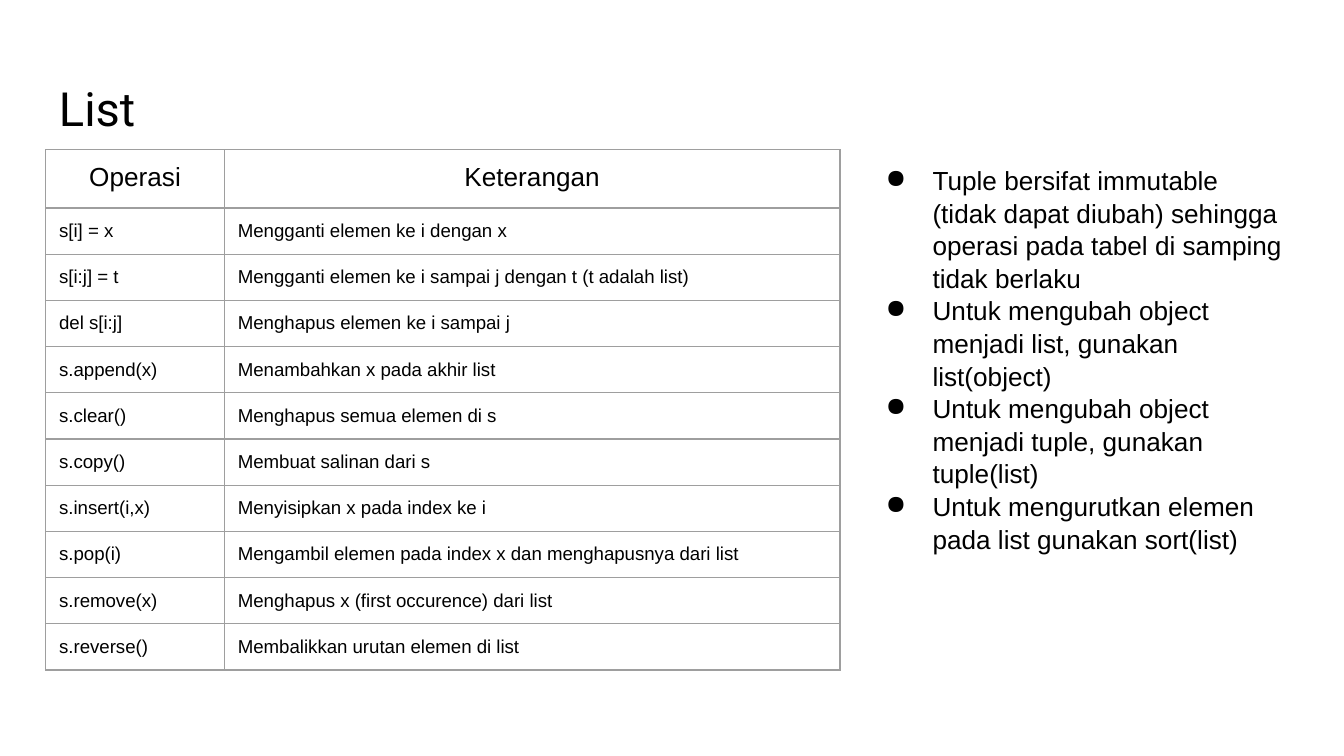
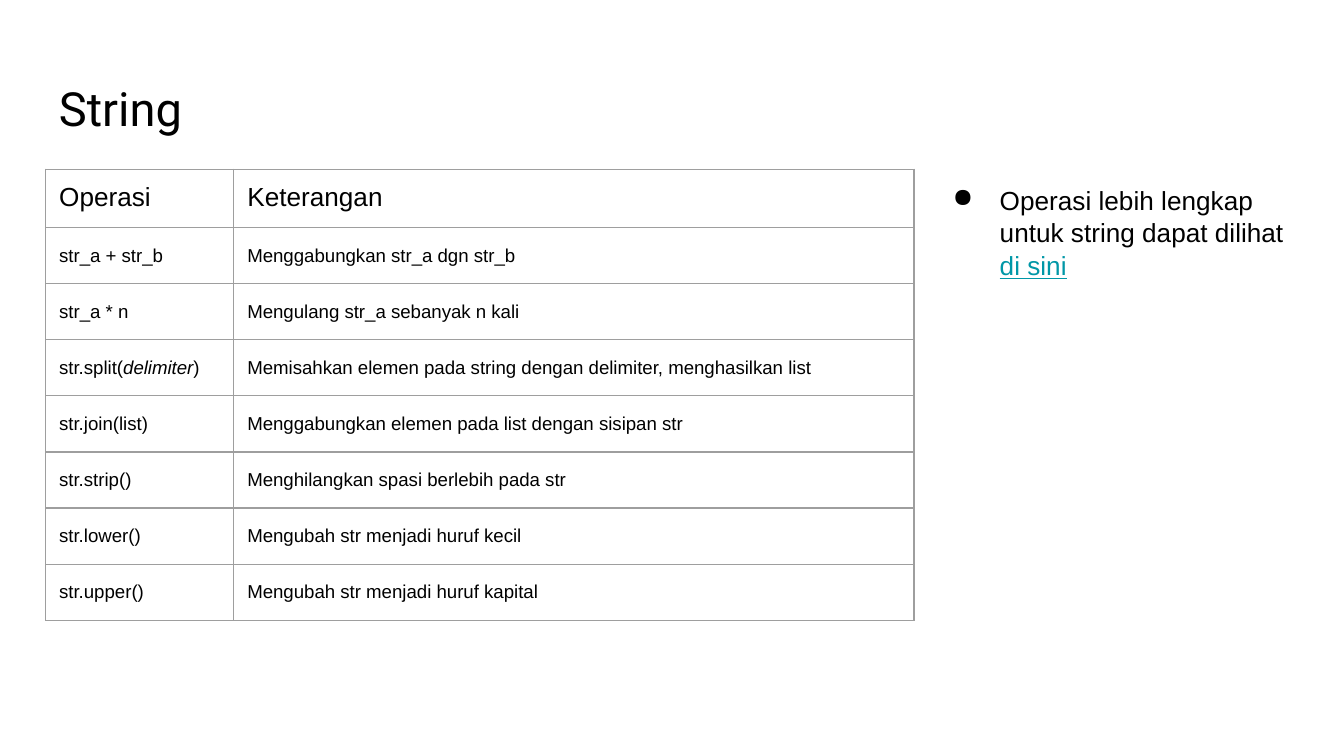
from collections import namedtuple

from lxml.etree import SubElement
from pptx import Presentation
from pptx.dml.color import RGBColor
from pptx.enum.text import MSO_ANCHOR, PP_ALIGN
from pptx.oxml.ns import qn
from pptx.util import Inches, Pt

BLACK = RGBColor(0x00, 0x00, 0x00)
GREY = RGBColor(0x9E, 0x9E, 0x9E)
TEAL = RGBColor(0x00, 0x97, 0xA7)
WHITE = RGBColor(0xFF, 0xFF, 0xFF)

WIDTH, HEIGHT = Inches(10), Inches(5.625)
COL, ROW = WIDTH / 100, HEIGHT / 100
PAD = Inches(0.1)
HEAD = 7.65

Box = namedtuple("Box", "left top width height")
TITLE = Box(3.4, 8.7, 93.2, 11.2)

LIST_OPS = [
    ("Operasi", "Keterangan"),
    ("s[i] = x", "Mengganti elemen ke i dengan x"),
    ("s[i:j] = t", "Mengganti elemen ke i sampai j dengan t (t adalah list)"),
    ("del s[i:j]", "Menghapus elemen ke i sampai j"),
    ("s.append(x)", "Menambahkan x pada akhir list"),
    ("s.clear()", "Menghapus semua elemen di s"),
    ("s.copy()", "Membuat salinan dari s"),
    ("s.insert(i,x)", "Menyisipkan x pada index ke i"),
    ("s.pop(i)", "Mengambil elemen pada index x dan menghapusnya dari list"),
    ("s.remove(x)", "Menghapus x (first occurence) dari list"),
    ("s.reverse()", "Membalikkan urutan elemen di list"),
]
LIST_NOTES = [
    "Tuple bersifat immutable (tidak dapat diubah) sehingga operasi pada tabel di samping tidak berlaku",
    "Untuk mengubah object menjadi list, gunakan list(object)",
    "Untuk mengubah object menjadi tuple, gunakan tuple(list)",
    "Untuk mengurutkan elemen pada list gunakan sort(list)",
]
STRING_OPS = [
    ("Operasi", "Keterangan"),
    ("str_a + str_b", "Menggabungkan str_a dgn str_b"),
    ("str_a * n", "Mengulang str_a sebanyak n kali"),
    (("str.split(", "delimiter", ")"),
     "Memisahkan elemen pada string dengan delimiter, menghasilkan list"),
    ("str.join(list)", "Menggabungkan elemen pada list dengan sisipan str"),
    ("str.strip()", "Menghilangkan spasi berlebih pada str"),
    ("str.lower()", "Mengubah str menjadi huruf kecil"),
    ("str.upper()", "Mengubah str menjadi huruf kapital"),
]
STRING_NOTES = [("Operasi lebih lengkap untuk string dapat dilihat ", "di sini")]


def place(box):
    return (round(box.left * COL), round(box.top * ROW),
            round(box.width * COL), round(box.height * ROW))


def write(para, text, size, face="Arial", accent=None):
    parts = (text,) if isinstance(text, str) else text
    for index, part in enumerate(parts):
        run = para.add_run()
        run.text = part
        run.font.size = Pt(size)
        run.font.name = face
        run.font.color.rgb = BLACK
        if index % 2:
            accent(run.font)


def slant(font):
    font.italic = True


def link(font):
    font.color.rgb = TEAL
    font.underline = True


def add_frame(slide, box):
    frame = slide.shapes.add_textbox(*place(box)).text_frame
    frame.word_wrap = True
    frame.margin_left = frame.margin_right = PAD
    frame.margin_top = frame.margin_bottom = PAD
    return frame


def add_title(slide, text):
    write(add_frame(slide, TITLE).paragraphs[0], text, 25.2, "Roboto")


def add_bullet(para):
    props = para._p.get_or_add_pPr()
    props.set("marL", str(Inches(0.5)))
    props.set("indent", str(Inches(-0.35)))
    color = SubElement(props, qn("a:buClr"))
    SubElement(color, qn("a:srgbClr"), val=str(BLACK))
    SubElement(props, qn("a:buChar"), char="●")
    para.line_spacing = 1.04


def add_notes(slide, box, notes):
    frame = add_frame(slide, box)
    for index, note in enumerate(notes):
        para = frame.add_paragraph() if index else frame.paragraphs[0]
        add_bullet(para)
        write(para, note, 14, accent=link)


def add_border(cell):
    props = cell._tc.get_or_add_tcPr()
    for side in ("lnL", "lnR", "lnT", "lnB"):
        line = SubElement(props, qn(f"a:{side}"), w=str(Pt(0.75)))
        fill = SubElement(line, qn("a:solidFill"))
        SubElement(fill, qn("a:srgbClr"), val=str(GREY))


def fill_cell(cell, text, head, align):
    add_border(cell)
    cell.fill.background()
    cell.margin_left = cell.margin_right = PAD
    cell.margin_top = cell.margin_bottom = PAD if head else 0
    cell.vertical_anchor = MSO_ANCHOR.TOP if head else MSO_ANCHOR.MIDDLE
    para = cell.text_frame.paragraphs[0]
    para.alignment = align if head else PP_ALIGN.LEFT
    write(para, text, 14 if head else 10, accent=slant)


def add_grid(slide, box, first, rows, align):
    table = slide.shapes.add_table(len(rows), 2, *place(box)).table
    table.first_row = table.horz_banding = False
    for column, width in zip(table.columns, (first, box.width - first)):
        column.width = round(width * COL)
    step = (box.height - HEAD) / (len(rows) - 1)
    for r, texts in enumerate(rows):
        table.rows[r].height = round((step if r else HEAD) * ROW)
        for c, text in enumerate(texts):
            fill_cell(table.cell(r, c), text, r == 0, align)


def add_page(deck, title, grid, first, rows, align, side, notes):
    slide = deck.slides.add_slide(deck.slide_layouts[6])
    slide.background.fill.solid()
    slide.background.fill.fore_color.rgb = WHITE
    add_title(slide, title)
    add_grid(slide, grid, first, rows, align)
    add_notes(slide, side, notes)


def main():
    deck = Presentation()
    deck.slide_width, deck.slide_height = WIDTH, HEIGHT
    add_page(deck, "List", Box(3.4, 19.8, 59.1, 68.8), 13.3, LIST_OPS,
             PP_ALIGN.CENTER, Box(63.4, 19.8, 33.5, 53.9), LIST_NOTES)
    add_page(deck, "String", Box(3.4, 22.4, 64.6, 59.6), 14, STRING_OPS,
             PP_ALIGN.LEFT, Box(68.4, 22.4, 28.2, 16.2), STRING_NOTES)
    deck.save("out.pptx")


if __name__ == "__main__":
    main()
